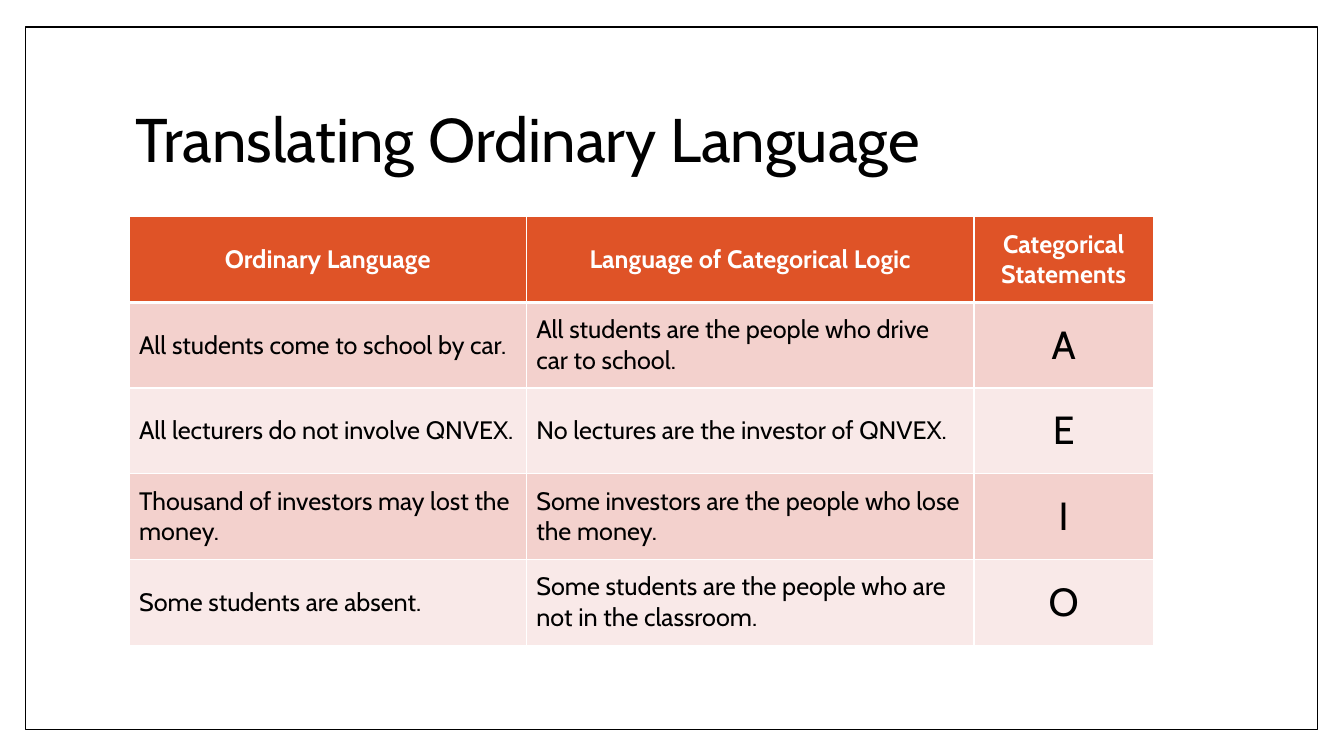
from dataclasses import dataclass

from pptx import Presentation
from pptx.dml.color import RGBColor
from pptx.enum.shapes import MSO_SHAPE
from pptx.enum.text import MSO_ANCHOR, PP_ALIGN
from pptx.oxml.ns import qn
from pptx.util import Inches, Pt
from lxml.etree import SubElement

FONT = "Cabin"
COLORS = {
    "black": "000000",
    "white": "FFFFFF",
    "header": "DF5327",
    "odd_row": "F3D1CD",
    "even_row": "F9E9E8",
}
HEADERS = ("Ordinary Language", "Language of Categorical Logic", "Categorical Statements")
COLUMN_WIDTHS = (3.94, 4.44, 1.78)
ROW_HEIGHT = 0.85


@dataclass(frozen=True)
class Translation:
    ordinary: str
    categorical: str
    statement: str


@dataclass(frozen=True)
class TextStyle:
    size: int
    color: str = "black"
    bold: bool = False
    alignment: PP_ALIGN = PP_ALIGN.LEFT


TITLE_STYLE = TextStyle(44)
HEADER_STYLE = TextStyle(18, "white", True, PP_ALIGN.CENTER)
BODY_STYLE = TextStyle(18)
LETTER_STYLE = TextStyle(28, alignment=PP_ALIGN.CENTER)

TRANSLATIONS = (
    Translation("All students come to school by car.",
                "All students are the people who drive car to school.", "A"),
    Translation("All lecturers do not involve QNVEX.",
                "No lectures are the investor of QNVEX.", "E"),
    Translation("Thousand of investors may lost the money.",
                "Some investors are the people who lose the money.", "I"),
    Translation("Some students are absent.",
                "Some students are the people who are not in the classroom.", "O"),
)


def color(name: str) -> RGBColor:
    return RGBColor.from_string(COLORS[name])


def write_text(text_frame, text: str, style: TextStyle) -> None:
    text_frame.text = text
    paragraph = text_frame.paragraphs[0]
    paragraph.alignment = style.alignment
    font = paragraph.runs[0].font
    font.name = FONT
    font.size = Pt(style.size)
    font.bold = style.bold
    font.color.rgb = color(style.color)


def add_frame(slide) -> None:
    shape = slide.shapes.add_shape(
        MSO_SHAPE.RECTANGLE, Inches(0.25), Inches(0.27), Inches(12.82), Inches(6.97))
    shape.shadow.inherit = False
    shape.fill.solid()
    shape.fill.fore_color.rgb = color("white")
    shape.line.color.rgb = color("black")
    shape.line.width = Pt(1)


def add_title(slide, text: str) -> None:
    text_box = slide.shapes.add_textbox(Inches(1.25), Inches(0.67), Inches(10.8), Inches(1.48))
    text_frame = text_box.text_frame
    text_frame.word_wrap = True
    text_frame.vertical_anchor = MSO_ANCHOR.MIDDLE
    write_text(text_frame, text, TITLE_STYLE)
    text_frame.paragraphs[0].line_spacing = 0.9


def set_borders(cell, top: int, bottom: int) -> None:
    properties = cell._tc.get_or_add_tcPr()
    for side, width in (("L", 1), ("R", 1), ("T", top), ("B", bottom)):
        line = SubElement(properties, qn(f"a:ln{side}"), w=str(Pt(width)))
        fill = SubElement(line, qn("a:solidFill"))
        SubElement(fill, qn("a:srgbClr"), val=COLORS["white"])


def fill_cell(cell, text: str, style: TextStyle, fill: str, top: int, bottom: int) -> None:
    set_borders(cell, top, bottom)
    cell.fill.solid()
    cell.fill.fore_color.rgb = color(fill)
    cell.vertical_anchor = MSO_ANCHOR.MIDDLE
    write_text(cell.text_frame, text, style)


def add_translation_table(slide) -> None:
    row_count = len(TRANSLATIONS) + 1
    table = slide.shapes.add_table(
        row_count, len(HEADERS), Inches(1.28), Inches(2.15),
        Inches(sum(COLUMN_WIDTHS)), Inches(ROW_HEIGHT * row_count)).table
    for column, width in zip(table.columns, COLUMN_WIDTHS):
        column.width = Inches(width)
    for row in table.rows:
        row.height = Inches(ROW_HEIGHT)

    for index, header in enumerate(HEADERS):
        fill_cell(table.cell(0, index), header, HEADER_STYLE, "header", 1, 3)

    body_styles = (BODY_STYLE, BODY_STYLE, LETTER_STYLE)
    for row_index, translation in enumerate(TRANSLATIONS, start=1):
        fill = "odd_row" if row_index % 2 else "even_row"
        top = 3 if row_index == 1 else 1
        texts = (translation.ordinary, translation.categorical, translation.statement)
        for index, (text, style) in enumerate(zip(texts, body_styles)):
            fill_cell(table.cell(row_index, index), text, style, fill, top, 1)


def main() -> None:
    presentation = Presentation()
    presentation.slide_width = Inches(13.33)
    presentation.slide_height = Inches(7.5)
    slide = presentation.slides.add_slide(presentation.slide_layouts[6])
    add_frame(slide)
    add_title(slide, "Translating Ordinary Language")
    add_translation_table(slide)
    presentation.save("out.pptx")


if __name__ == "__main__":
    main()
